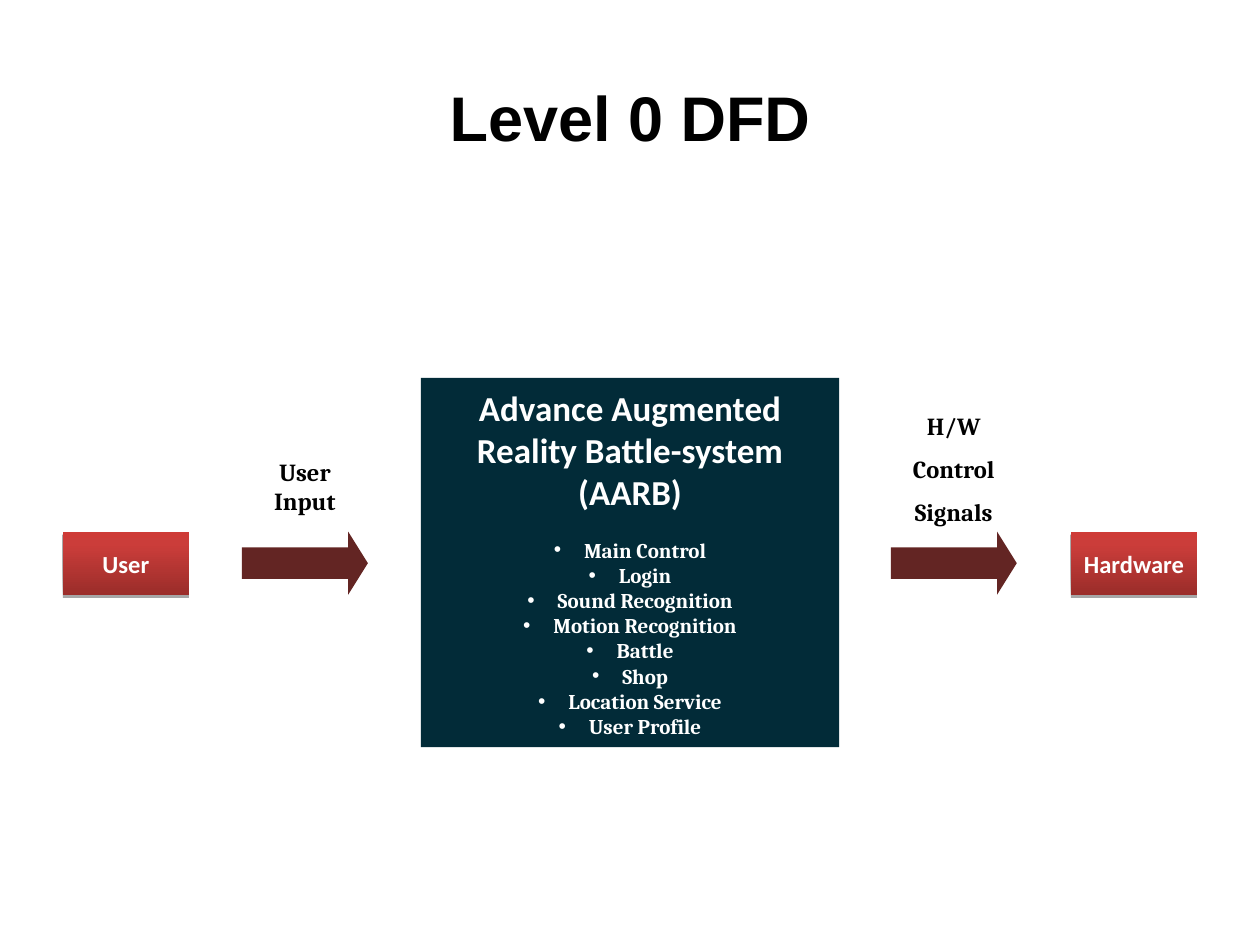
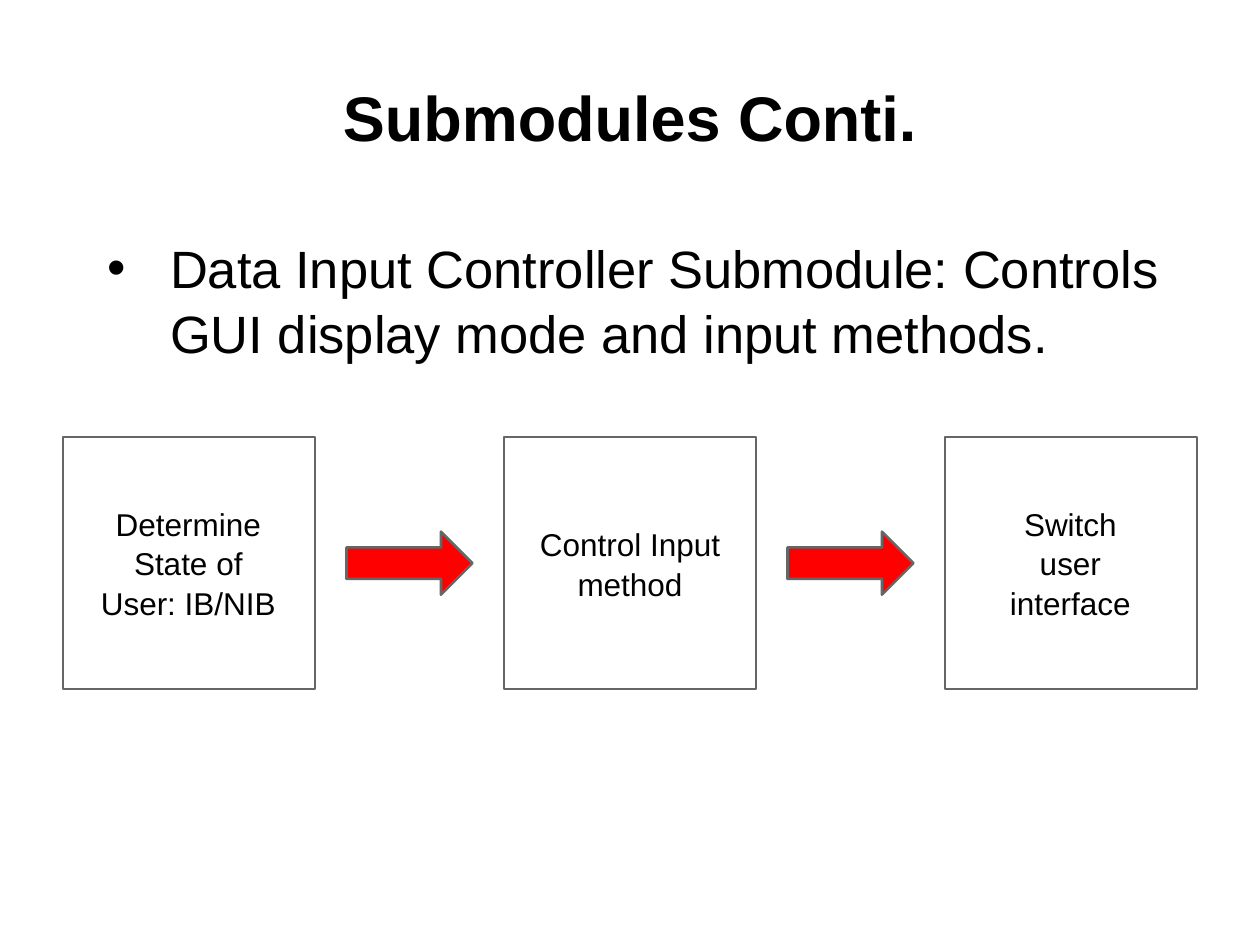
from copy import deepcopy

from lxml import etree
from pptx import Presentation
from pptx.dml.color import RGBColor
from pptx.enum.shapes import MSO_SHAPE
from pptx.enum.text import MSO_ANCHOR, MSO_AUTO_SIZE, PP_ALIGN
from pptx.oxml.ns import qn
from pptx.util import Emu, Pt

RECTANGLE = MSO_SHAPE.RECTANGLE
RIGHT_ARROW = MSO_SHAPE.RIGHT_ARROW
CENTER, LEFT = PP_ALIGN.CENTER, PP_ALIGN.LEFT
MIDDLE, TOP = MSO_ANCHOR.MIDDLE, MSO_ANCHOR.TOP
NO_AUTOFIT = MSO_AUTO_SIZE.NONE

EMU_PER_PX = 9144  # 100 px to the inch
SLIDE_WIDTH, SLIDE_HEIGHT = 1000, 750
TITLE_BOX = (50, 30, 900, 125)
ARROW_SIZE = (100, 50)
TITLE_ONLY, TITLE_AND_CONTENT = 5, 1

BLACK, WHITE = "000000", "FFFFFF"
NAVY, MAROON, RED, GREY = "022B38", "632523", "FF0000", "666666"
ENTITY_GRADIENT = [(0, "9B2D2A"), (0.8, "CB3D3A"), (1, "CE3B37")]


def px(length):
    return Emu(length * EMU_PER_PX)


def place(shape, box):
    shape.left, shape.top, shape.width, shape.height = map(px, box)


def color(hex_value):
    return RGBColor.from_string(hex_value)


def set_bullet(paragraph, hex_value, margin, hanging):
    properties = paragraph._p.get_or_add_pPr()
    properties.set("marL", str(px(margin)))
    properties.set("indent", str(-px(hanging)))
    bullet_color = etree.SubElement(properties, qn("a:buClr"))
    etree.SubElement(bullet_color, qn("a:srgbClr"), val=hex_value)
    etree.SubElement(properties, qn("a:buFont"), typeface="Arial")
    etree.SubElement(properties, qn("a:buChar"), char="•")


def format_paragraph(paragraph, size, font, hex_value, bold=False, align=CENTER):
    paragraph.alignment = align
    paragraph.font.size = Pt(size)
    paragraph.font.name = font
    paragraph.font.bold = bold
    paragraph.font.color.rgb = color(hex_value)


def set_text(shape, lines, inset=(10, 5), anchor=MIDDLE):
    """Fill the frame with one paragraph a line and return the paragraphs."""
    frame = shape.text_frame
    frame.text = "\n".join(lines)
    frame.word_wrap = True
    frame.auto_size = NO_AUTOFIT
    frame.vertical_anchor = anchor
    frame.margin_left = frame.margin_right = px(inset[0])
    frame.margin_top = frame.margin_bottom = px(inset[1])
    return frame.paragraphs


def add_box(shapes, box, kind=RECTANGLE, fill=None, line=None):
    shape = shapes.add_shape(kind, *map(px, box))
    shape.shadow.inherit = False
    if fill:
        shape.fill.solid()
        shape.fill.fore_color.rgb = color(fill)
    else:
        shape.fill.background()
    if line:
        shape.line.color.rgb = color(line)
        shape.line.width = Pt(1.5)
    else:
        shape.line.fill.background()
    return shape


def add_arrow(shapes, left, top, fill, line=None, head=0.5):
    arrow = add_box(shapes, (left, top, *ARROW_SIZE), RIGHT_ARROW, fill, line)
    arrow.adjustments[1] = head


def add_titled_slide(presentation, layout, title):
    slide = presentation.slides.add_slide(presentation.slide_layouts[layout])
    place(slide.shapes.title, TITLE_BOX)
    paragraph = set_text(slide.shapes.title, [title], (10, 10))[0]
    format_paragraph(paragraph, 36, "Arial", BLACK, bold=True)
    return slide


def add_entity(shapes, box, name):
    """External entity: red gradient with a hard shadow below."""
    entity = add_box(shapes, box)
    entity.fill.gradient()
    entity.fill.gradient_angle = 90
    stop_list = entity._element.spPr.find(".//" + qn("a:gsLst"))
    stop_list.append(deepcopy(stop_list[-1]))
    for stop, (position, hex_value) in zip(entity.fill.gradient_stops, ENTITY_GRADIENT):
        stop.position = position
        stop.color.rgb = color(hex_value)
    effects = entity._element.spPr.find(qn("a:effectLst"))
    shadow = etree.SubElement(effects, qn("a:outerShdw"), blurRad="0",
                              dist=str(Pt(1.8)), dir="5400000", rotWithShape="0")
    shadow_color = etree.SubElement(shadow, qn("a:srgbClr"), val=BLACK)
    etree.SubElement(shadow_color, qn("a:alpha"), val="35000")
    format_paragraph(set_text(entity, [name])[0], 14, "Calibri", WHITE, bold=True)


def add_system(shapes, box, name, modules):
    """Central process with its list of modules."""
    heading, *items = set_text(add_box(shapes, box, fill=NAVY), [name, *modules])
    format_paragraph(heading, 20, "Calibri", WHITE, bold=True)
    heading.space_after = Pt(14)
    for item in items:
        set_bullet(item, WHITE, 24, 24)
        format_paragraph(item, 12, "Cambria", WHITE, bold=True)


def add_flow(shapes, left, top, label_size, lines, inset, space_after=0, fill=None):
    """Arrow at left, top with its label centred above it."""
    width, height = label_size
    label_left = left + (ARROW_SIZE[0] - width) // 2
    label = add_box(shapes, (label_left, top - height, width, height), fill=fill)
    for paragraph in set_text(label, lines, inset):
        paragraph.space_after = Pt(space_after)
        format_paragraph(paragraph, 14, "Cambria", BLACK, bold=True)
    add_arrow(shapes, left, top, MAROON, head=0.312)


def add_step(shapes, box, text, text_size):
    """Outlined square grouped with its centred text."""
    left, top, width, height = box
    text_width, text_height = text_size
    group = shapes.add_group_shape()
    add_box(group.shapes, box, line=GREY)
    label = group.shapes.add_textbox(
        px(left + (width - text_width) // 2), px(top + (height - text_height) // 2),
        px(text_width), px(text_height))
    paragraph = set_text(label, [text], (12, 10))[0]
    paragraph.line_spacing = 1.04
    format_paragraph(paragraph, 18, "Arial", BLACK)


def build_data_flow_slide(presentation):
    shapes = add_titled_slide(presentation, TITLE_ONLY, "Level 0 DFD").shapes
    row_top = 422
    for left, name in ((50, "User"), (850, "Hardware")):
        add_entity(shapes, (left, row_top, 100, 50), name)
    add_system(shapes, (334, 300, 332, 293),
               "Advance Augmented Reality Battle-system (AARB)",
               ["Main Control", "Login", "Sound Recognition", "Motion Recognition",
                "Battle", "Shop", "Location Service", "User Profile"])
    add_flow(shapes, 192, row_top, (72, 72), ["User Input"], (5, 5))
    add_flow(shapes, 707, row_top, (100, 100), ["H/W", "Control", "Signals"],
             (10, 5), space_after=8, fill=WHITE)


def build_submodule_slide(presentation):
    slide = add_titled_slide(presentation, TITLE_AND_CONTENT, "Submodules Conti.")
    body = slide.placeholders[1]
    place(body, (50, 175, 900, 543))
    paragraph = set_text(
        body, ["Data Input Controller Submodule: Controls GUI display mode and input methods."],
        (10, 10), TOP)[0]
    set_bullet(paragraph, BLACK, 75, 50)
    paragraph.line_spacing = 1.04
    paragraph.space_before = Pt(2)
    format_paragraph(paragraph, 30, "Arial", BLACK, align=LEFT)

    # Row of steps with an arrow centred in each gap
    side, pitch, left, top = 200, 350, 50, 347
    steps = [("Determine State of User: IB/NIB", (167, 111)),
             ("Control Input method", (182, 84)),
             ("Switch user interface", (149, 111))]
    for index, (text, text_size) in enumerate(steps):
        step_left = left + index * pitch
        add_step(slide.shapes, (step_left, top, side, side), text, text_size)
        if index:
            gap_center = step_left - (pitch - side) // 2
            add_arrow(slide.shapes, gap_center - ARROW_SIZE[0] // 2,
                      top + (side - ARROW_SIZE[1]) // 2, RED, GREY)


def main():
    presentation = Presentation()
    presentation.slide_width = px(SLIDE_WIDTH)
    presentation.slide_height = px(SLIDE_HEIGHT)
    build_data_flow_slide(presentation)
    build_submodule_slide(presentation)
    presentation.save("out.pptx")


if __name__ == "__main__":
    main()
